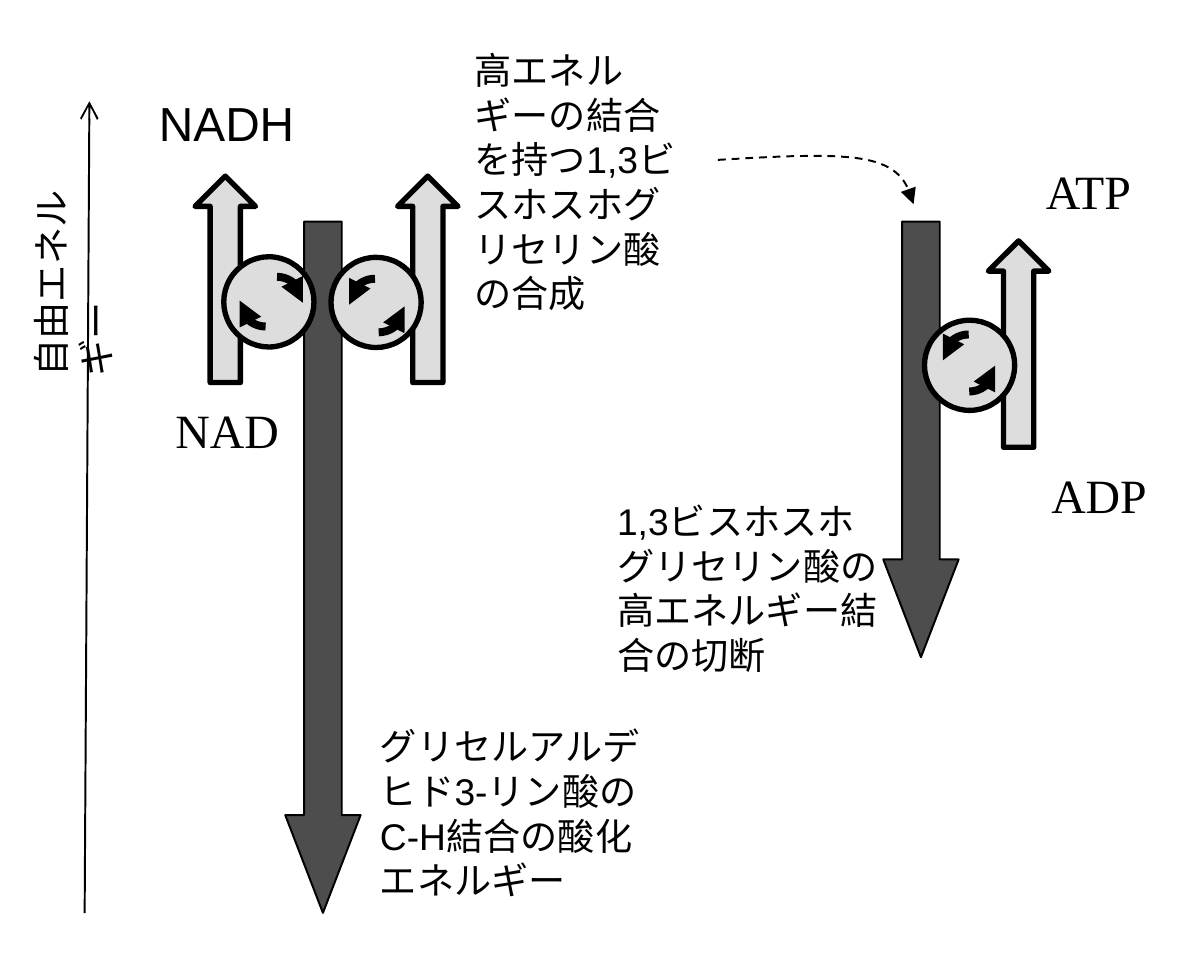
from dataclasses import dataclass

from lxml.etree import SubElement
from pptx import Presentation
from pptx.dml.color import RGBColor
from pptx.enum.dml import MSO_LINE
from pptx.enum.shapes import MSO_CONNECTOR, MSO_SHAPE
from pptx.enum.text import MSO_AUTO_SIZE
from pptx.oxml.ns import qn
from pptx.util import Pt


@dataclass(frozen=True)
class Theme:
    ink: RGBColor = RGBColor(0x00, 0x00, 0x00)
    downhill: RGBColor = RGBColor(0x4D, 0x4D, 0x4D)
    uphill: RGBColor = RGBColor(0xDD, 0xDD, 0xDD)
    sans: str = "Arial"
    serif: str = "Times New Roman"
    note_size: int = 14
    molecule_size: int = 18
    thin: float = 0.75
    outline: float = 2
    spin: float = 3


THEME = Theme()
DISK = 34
TURN = 9.75
STEPS = 16


def set_line(shape, width):
    shape.line.color.rgb = THEME.ink
    shape.line.width = Pt(width)


def add_tail(shape, kind):
    outline = shape._element.spPr.find(qn("a:ln"))
    SubElement(outline, qn("a:tailEnd"), type=kind)


def add_solid(slide, preset, box, fill, width):
    solid = slide.shapes.add_shape(preset, *map(Pt, box))
    solid.shadow.inherit = False
    solid.fill.solid()
    solid.fill.fore_color.rgb = fill
    set_line(solid, width)
    return solid


def add_downhill(slide, left, top, height):
    arrow = add_solid(slide, MSO_SHAPE.DOWN_ARROW, (left, top, 28.4, height),
                      THEME.downhill, THEME.thin)
    arrow.adjustments[1] = 1.297


def add_uphill(slide, left, top):
    add_solid(slide, MSO_SHAPE.UP_ARROW, (left, top, 22.8, 77.8),
              THEME.uphill, THEME.outline)


def bezier(p0, p1, p2, p3):
    for step in range(STEPS + 1):
        t = step / STEPS
        u = 1 - t
        yield tuple(u**3 * a + 3 * u * u * t * b + 3 * u * t * t * c + t**3 * d
                    for a, b, c, d in zip(p0, p1, p2, p3))


def add_curve(slide, points, width):
    start, *rest = [(Pt(x), Pt(y)) for x, y in points]
    builder = slide.shapes.build_freeform(*start)
    builder.add_line_segments(rest, close=False)
    curve = builder.convert_to_shape()
    curve.shadow.inherit = False
    curve.fill.background()
    set_line(curve, width)
    add_tail(curve, "triangle")
    return curve


def add_spin(slide, x, y, right, down):
    dx, dy = right * TURN, down * TURN
    quarter = bezier((x, y), (x + 0.55 * dx, y), (x + dx, y + 0.45 * dy), (x + dx, y + dy))
    add_curve(slide, quarter, THEME.spin)


def add_coupling(slide, center, upper, lower, turn):
    x, y = center
    add_solid(slide, MSO_SHAPE.OVAL, (x - DISK / 2, y - DISK / 2, DISK, DISK),
              THEME.uphill, THEME.outline)
    add_spin(slide, *upper, turn, 1)
    add_spin(slide, *lower, -turn, -1)


def add_label(slide, text, box, size, font, wrap=False, rotation=0):
    label = slide.shapes.add_textbox(*map(Pt, box))
    label.rotation = rotation
    frame = label.text_frame
    frame.word_wrap = wrap
    frame.auto_size = MSO_AUTO_SIZE.SHAPE_TO_FIT_TEXT
    paragraph = frame.paragraphs[0]
    paragraph.text = text
    paragraph.font.size = Pt(size)
    paragraph.font.name = font
    paragraph.font.color.rgb = THEME.ink


def add_energy_axis(slide):
    axis = slide.shapes.add_connector(MSO_CONNECTOR.STRAIGHT, Pt(31.9), Pt(344.2),
                                      Pt(33.7), Pt(38.2))
    set_line(axis, THEME.thin)
    add_tail(axis, "arrow")
    SubElement(axis._element.spPr, qn("a:effectLst"))
    add_label(slide, "自由エネルギー", (-36.7, 80.6, 112.3, 24.5),
              THEME.note_size, THEME.sans, rotation=270)


def add_handover(slide):
    bend = (327.6, 60.5)
    first = bezier((270.5, 60.3), (293, 59), (315.4, 57.6), bend)
    second = bezier(bend, (339.8, 63.4), (342, 69.8), (344.2, 77))
    handover = add_curve(slide, [*first, *list(second)[1:]], THEME.thin)
    handover.line.dash_style = MSO_LINE.DASH


def main():
    prs = Presentation()
    prs.slide_width, prs.slide_height = Pt(453.6), Pt(368.64)
    slide = prs.slides.add_slide(prs.slide_layouts[6])

    add_energy_axis(slide)
    for left, top, height in ((107.5, 83.5, 260.6), (332.8, 83.5, 164.2)):
        add_downhill(slide, left, top, height)
    for left, top in ((73.5, 66.4), (149.8, 66.4), (372.4, 90.8)):
        add_uphill(slide, left, top)

    couplings = (
        ((101.3, 113.8), (104.4, 104.4), (100.1, 123.1), 1),
        ((141.7, 114), (141.3, 105.1), (142.7, 125.3), -1),
        ((365.3, 137.7), (365, 126.1), (365.2, 147.6), -1),
    )
    for center, upper, lower, turn in couplings:
        add_coupling(slide, center, upper, lower, turn)

    notes = (
        ("グリセルアルデヒド3-リン酸のC-H結合の酸化エネルギー", (136.1, 269.3, 113, 74.9)),
        ("高エネルギーの結合を持つ1,3ビスホスホグリセリン酸の合成", (171.7, 14.4, 97.2, 108)),
        ("1,3ビスホスホグリセリン酸の高エネルギー結合の切断", (225.4, 184.3, 113, 74.9)),
    )
    for text, box in notes:
        add_label(slide, text, box, THEME.note_size, THEME.sans, wrap=True)

    molecules = (
        ("NADH", (52.8, 31.7, 65.5, 28.8), THEME.sans),
        ("NAD", (59, 147.6, 53.3, 28.8), THEME.serif),
        ("ADP", (389, 172.1, 59.4, 28.8), THEME.serif),
        ("ATP", (387, 57.6, 57.2, 28.8), THEME.serif),
    )
    for text, box, font in molecules:
        add_label(slide, text, box, THEME.molecule_size, font)

    add_handover(slide)
    prs.save("out.pptx")


if __name__ == "__main__":
    main()
